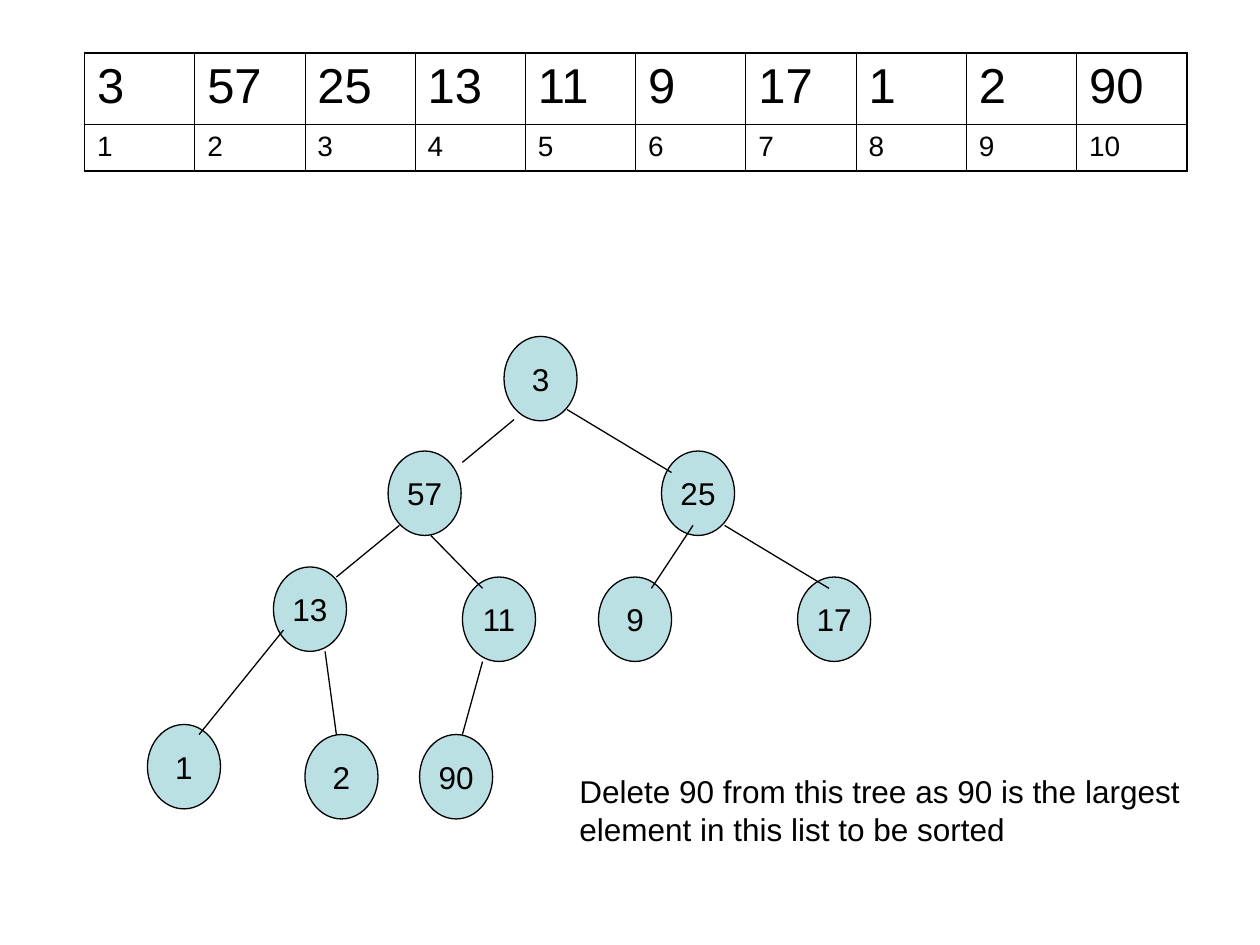
from pptx import Presentation
from pptx.dml.color import RGBColor
from pptx.enum.shapes import MSO_CONNECTOR, MSO_SHAPE
from pptx.enum.text import MSO_ANCHOR, PP_ALIGN
from pptx.oxml import parse_xml
from pptx.oxml.ns import nsdecls
from pptx.util import Inches, Pt

OVAL = MSO_SHAPE.OVAL
STRAIGHT = MSO_CONNECTOR.STRAIGHT
MIDDLE = MSO_ANCHOR.MIDDLE
LEFT, CENTER = PP_ALIGN.LEFT, PP_ALIGN.CENTER

COLORS = {"ink": "000000", "node": "BBE0E3"}
INK = RGBColor.from_string(COLORS["ink"])
THIN, THICK = 0.45, 1.08
NODE_W, NODE_H = 0.58, 0.67


def write(tf, text, size=18, align=LEFT, wrap=True):
    tf.word_wrap = wrap
    p = tf.paragraphs[0]
    p.alignment = align
    r = p.add_run()
    r.text = text
    r.font.size = Pt(size)
    r.font.name = "Arial"
    r.font.color.rgb = INK


def add_node(text, x, y):
    sp = s.shapes.add_shape(OVAL, Inches(x), Inches(y), Inches(NODE_W), Inches(NODE_H))
    sp.shadow.inherit = False
    sp.fill.solid()
    sp.fill.fore_color.rgb = RGBColor.from_string(COLORS["node"])
    sp.line.color.rgb = INK
    sp.line.width = Pt(0.75)
    sp.text_frame.vertical_anchor = MIDDLE
    write(sp.text_frame, text, align=CENTER, wrap=False)


prs = Presentation()
prs.slide_width, prs.slide_height = Inches(10), Inches(7.5)
s = prs.slides.add_slide(prs.slide_layouts[6])

values = [3, 57, 25, 13, 11, 9, 17, 1, 2, 90]
rows = [(values, 0.57, 28), (range(1, len(values) + 1), 0.37, 16)]
last_row, last_col = len(rows) - 1, len(values) - 1
tbl = s.shapes.add_table(len(rows), len(values), Inches(0.67), Inches(0.42),
                         Inches(8.75), Inches(0.94)).table
tbl.first_row = False
tbl.horz_banding = False
for i, (numbers, height, size) in enumerate(rows):
    tbl.rows[i].height = Inches(height)
    for j, number in enumerate(numbers):
        cell = tbl.cell(i, j)
        write(cell.text_frame, str(number), size=size)
        outer = {"L": j == 0, "R": j == last_col, "T": i == 0, "B": i == last_row}
        tcPr = cell._tc.get_or_add_tcPr()
        for side, is_outer in outer.items():
            width = Pt(THICK if is_outer else THIN)
            tcPr.append(parse_xml(
                f'<a:ln{side} {nsdecls("a")} w="{width}"><a:solidFill>'
                f'<a:srgbClr val="{COLORS["ink"]}"/></a:solidFill></a:ln{side}>'))
        cell.fill.background()

back_nodes = [
    ("57", 3.08, 3.58), ("25", 5.25, 3.58),
    ("13", 2.17, 4.5), ("11", 3.67, 4.58), ("9", 4.75, 4.58), ("17", 6.33, 4.58),
    ("1", 1.17, 5.75), ("2", 2.42, 5.83),
]
edges = [
    (4.08, 3.33, 3.67, 3.67), (4.5, 3.25, 5.33, 3.75),
    (3.17, 4.17, 2.67, 4.58), (3.42, 4.25, 3.83, 4.67),
    (2.25, 5, 1.58, 5.83), (2.58, 5.17, 2.67, 5.83),
    (5.5, 4.17, 5.17, 4.67), (5.75, 4.17, 6.58, 4.67),
    (3.83, 5.25, 3.67, 5.83),
]
front_nodes = [("3", 4, 2.67), ("90", 3.33, 5.83)]

for node in back_nodes:
    add_node(*node)
for edge in edges:
    line = s.shapes.add_connector(STRAIGHT, *[Inches(v) for v in edge])
    line.line.color.rgb = INK
    line.line.width = Pt(0.75)
    line._element.spPr.append(parse_xml(f'<a:effectLst {nsdecls("a")}/>'))
for node in front_nodes:
    add_node(*node)

tb = s.shapes.add_textbox(Inches(4.5), Inches(6.08), Inches(5), Inches(0.7))
write(tb.text_frame,
      "Delete 90 from this tree as 90 is the largest element in this list to be sorted")

prs.save("out.pptx")
